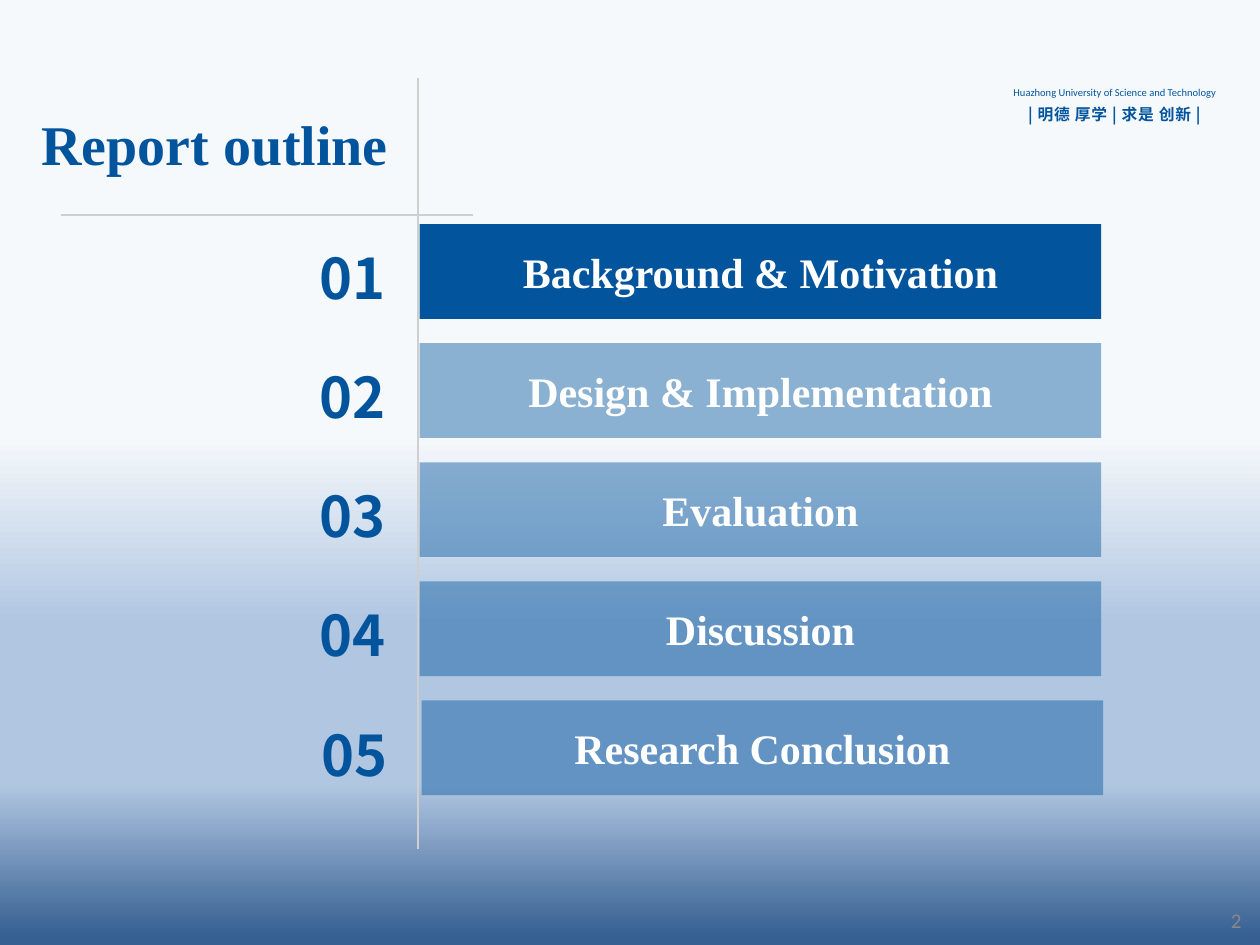
from lxml import etree
from pptx import Presentation
from pptx.dml.color import RGBColor
from pptx.enum.shapes import MSO_CONNECTOR, MSO_SHAPE
from pptx.enum.text import MSO_ANCHOR, PP_ALIGN
from pptx.oxml.ns import qn
from pptx.util import Cm, Pt

LEFT, CENTER, RIGHT = PP_ALIGN.LEFT, PP_ALIGN.CENTER, PP_ALIGN.RIGHT
TOP, MIDDLE = MSO_ANCHOR.TOP, MSO_ANCHOR.MIDDLE
RECTANGLE = MSO_SHAPE.RECTANGLE
STRAIGHT = MSO_CONNECTOR.STRAIGHT

BLUE, GREY, WHITE, RULE = "02549D", "898989", "FFFFFF", "CFCFCF"
SERIF, SANS = "Times New Roman", "Calibri"
NUMBER_FONT, MOTTO_FONT = "Noto Sans CJK JP", "Noto Sans CJK SC"
BACKGROUND = [(46, "F6F9FC"), (66, "B0C6E1"), (83, "B0C6E1"), (99, "376092")]
SECTIONS = [
    "Background & Motivation",
    "Design & Implementation",
    "Evaluation",
    "Discussion",
    "Research Conclusion",
]
ROW_TOP, ROW_PITCH, ROW_HEIGHT = 4.52, 2.4, 1.91


def color(value):
    return RGBColor.from_string(value)


class OutlineSlide:
    def __init__(self, slide):
        self.slide = slide

    def background(self, stops):
        fill = self.slide.background.fill
        fill.gradient()
        fill.gradient_angle = 270
        stop_list = next(self.slide.background._cSld.iter(qn("a:gsLst")))
        for stop in list(stop_list):
            stop_list.remove(stop)
        for position, value in stops:
            stop = etree.SubElement(stop_list, qn("a:gs"), pos=str(position * 1000))
            etree.SubElement(stop, qn("a:srgbClr"), val=value)

    def set_text(self, shape, text, size, font, value, bold, align, anchor):
        frame = shape.text_frame
        frame.text = text
        frame.vertical_anchor = anchor
        paragraph = frame.paragraphs[0]
        paragraph.alignment = align
        run = paragraph.runs[0]
        run.font.size = Pt(size)
        run.font.name = font
        run.font.bold = bold
        run.font.color.rgb = color(value)
        etree.SubElement(run._r.get_or_add_rPr(), qn("a:ea"), typeface=font)
        return paragraph

    def text(self, box, text, size, font, value=BLUE, bold=False,
             align=LEFT, anchor=TOP, wrap=True):
        shape = self.slide.shapes.add_textbox(*map(Cm, box))
        shape.text_frame.word_wrap = wrap
        return self.set_text(shape, text, size, font, value, bold, align, anchor)

    def bar(self, box, text, opacity):
        shape = self.slide.shapes.add_shape(RECTANGLE, *map(Cm, box))
        shape.shadow.inherit = False
        shape.line.fill.background()
        shape.fill.solid()
        shape.fill.fore_color.rgb = color(BLUE)
        if opacity < 100:
            fill_color = next(shape._element.spPr.iter(qn("a:srgbClr")))
            etree.SubElement(fill_color, qn("a:alpha"), val=str(opacity * 1000))
        frame = shape.text_frame
        frame.word_wrap = True
        frame.margin_left = frame.margin_right = Cm(0)
        frame.margin_top = frame.margin_bottom = Cm(0)
        self.set_text(shape, text, 24, SERIF, WHITE, True, CENTER, MIDDLE)

    def line(self, *ends):
        connector = self.slide.shapes.add_connector(STRAIGHT, *map(Cm, ends))
        connector.line.color.rgb = color(RULE)
        connector.line.width = Pt(1)
        etree.SubElement(connector._element.spPr, qn("a:effectLst"))


def main():
    presentation = Presentation()
    presentation.slide_width, presentation.slide_height = Cm(25.4), Cm(19.05)
    outline = OutlineSlide(presentation.slides.add_slide(presentation.slide_layouts[6]))

    outline.background(BACKGROUND)
    outline.text((24.31, 18.03, 0.97, 1.02), "2", 12, SANS, GREY,
                 align=RIGHT, anchor=MIDDLE)
    outline.text((0.58, 1.98, 7.72, 1.8), "Report outline", 32, SERIF,
                 bold=True, anchor=MIDDLE)
    outline.line(1.22, 4.34, 9.53, 4.34)
    outline.line(8.43, 1.57, 8.43, 17.12)

    outline.text((20.12, 1.6, 4.7, 0.58),
                 "Huazhong University of Science and Technology", 6, SANS,
                 align=CENTER, wrap=False)
    motto = outline.text((19.53, 1.98, 5.87, 0.74), "| 明德 厚学 | 求是 创新 |",
                         9, MOTTO_FONT, bold=True, align=CENTER)
    motto.runs[0]._r.get_or_add_rPr().set("spc", "40")

    for index, section in enumerate(SECTIONS):
        top = ROW_TOP + index * ROW_PITCH
        shift = 0.04 if index == len(SECTIONS) - 1 else 0
        number = outline.text((6.07 + shift, top, 1.96, ROW_HEIGHT),
                              f"{index + 1:02}", 32, NUMBER_FONT,
                              bold=True, align=RIGHT)
        number.line_spacing = 1.2
        outline.bar((8.46 + shift, top, 13.74, ROW_HEIGHT), section,
                    44 if index else 100)

    presentation.save("out.pptx")


if __name__ == "__main__":
    main()
